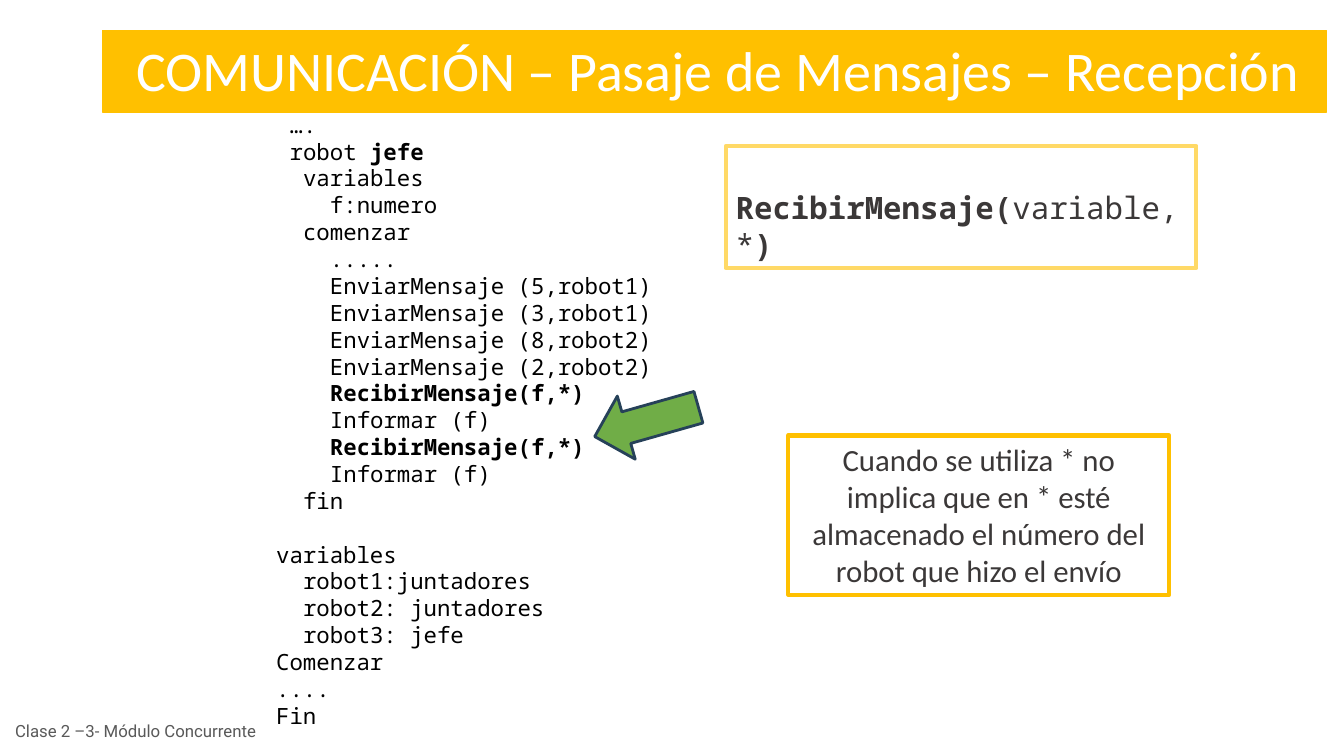
"""Builds the slide on receiving messages between concurrent robots."""
import pptx
import pptx.dml.color
import pptx.enum.shapes
import pptx.enum.text
import pptx.oxml
import pptx.util

COLORS = {"amber": "FFC000", "pale": "FFD966", "green": "70AD47", "navy": "264159",
          "white": "FFFFFF", "black": "000000", "dark": "3B3838", "gray": "595959"}
SHAPES = pptx.enum.shapes.MSO_SHAPE
ALIGN = pptx.enum.text.PP_ALIGN
ANCHOR = pptx.enum.text.MSO_ANCHOR
MONO = "Noto Sans Mono"
CODE_SIZE = 16
CHARACTER_WIDTH = 0.6 * CODE_SIZE
BLANK_LINE = 1.2 * CODE_SIZE


def color(name):
    return pptx.dml.color.RGBColor.from_string(COLORS[name])


class SlideBuilder:
    """Places styled elements on one slide, with boxes in percent of its size."""

    def __init__(self, presentation):
        self.width = presentation.slide_width
        self.height = presentation.slide_height
        self.slide = presentation.slides.add_slide(presentation.slide_layouts[1])

    def box(self, left, top, width, height):
        return (int(self.width * left / 100), int(self.height * top / 100),
                int(self.width * width / 100), int(self.height * height / 100))

    def prepare(self, shape, anchor=ANCHOR.TOP, top_inset=0.05):
        frame = shape.text_frame
        frame.word_wrap = True
        frame.auto_size = pptx.enum.text.MSO_AUTO_SIZE.NONE
        frame.vertical_anchor = anchor
        frame.margin_left = frame.margin_right = pptx.util.Inches(0.1)
        frame.margin_top = pptx.util.Inches(top_inset)
        frame.margin_bottom = pptx.util.Inches(0.05)
        return frame

    def add_runs(self, paragraph, runs, font, size, ink, align=ALIGN.LEFT):
        paragraph.alignment = align
        for text, bold in runs:
            run = paragraph.add_run()
            run.text = text
            run.font.name = font
            run.font.size = pptx.util.Pt(size)
            run.font.bold = bold
            run.font.color.rgb = color(ink)

    def shape(self, kind, box, fill, line, line_width):
        shape = self.slide.shapes.add_shape(kind, *self.box(*box))
        shape.shadow.inherit = False
        if fill:
            shape.fill.solid()
            shape.fill.fore_color.rgb = color(fill)
        else:
            shape.fill.background()
        shape.line.color.rgb = color(line)
        shape.line.width = pptx.util.Pt(line_width)
        return shape

    def placeholder(self, index, box):
        shape = self.slide.placeholders[index]
        shape.left, shape.top, shape.width, shape.height = self.box(*box)
        return self.prepare(shape)

    def title(self, box, banner_box, text):
        banner = self.shape(SHAPES.RECTANGLE, banner_box, "amber", "amber", 1)
        self.slide.shapes.title.element.addprevious(banner.element)
        frame = self.placeholder(0, box)
        self.add_runs(frame.paragraphs[0], [(text, False)], "Calibri", 40, "white")

    def code(self, box, blocks):
        frame = self.placeholder(1, box)
        paragraph = frame.paragraphs[0]
        for block_number, block in enumerate(blocks):
            for line_number, (indent, *runs) in enumerate(block):
                if block_number or line_number:
                    paragraph = frame.add_paragraph()
                starts_block = block_number > 0 and line_number == 0
                paragraph.space_before = pptx.util.Pt(BLANK_LINE if starts_block else 0)
                properties = paragraph._p.get_or_add_pPr()
                properties.set("marL", str(int(pptx.util.Pt(indent * CHARACTER_WIDTH))))
                properties.set("indent", "0")
                properties.append(pptx.oxml.parse_xml(
                    '<a:buNone xmlns:a="http://schemas.openxmlformats.org/drawingml/2006/main"/>'))
                self.add_runs(paragraph, runs, MONO, CODE_SIZE, "black", ALIGN.JUSTIFY)

    def card(self, box, fill, line, runs, font, align, top_inset=0.05):
        card = self.shape(SHAPES.RECTANGLE, box, fill, line, 3)
        frame = self.prepare(card, top_inset=top_inset)
        self.add_runs(frame.paragraphs[0], runs, font, 22, "dark", align)

    def label(self, box, text):
        frame = self.prepare(self.slide.shapes.add_textbox(*self.box(*box)), ANCHOR.MIDDLE)
        self.add_runs(frame.paragraphs[0], [(text, False)], "Roboto", 12, "gray")

    def arrow(self, box, rotation):
        arrow = self.shape(SHAPES.RIGHT_ARROW, box, "green", "navy", 2)
        arrow.rotation = rotation


def main():
    presentation = pptx.Presentation()
    presentation.slide_width = pptx.util.Inches(13.33)
    presentation.slide_height = pptx.util.Inches(7.5)
    builder = SlideBuilder(presentation)

    sends = [(4, (f"EnviarMensaje ({value},{robot})", False))
             for value, robot in ((5, "robot1"), (3, "robot1"), (8, "robot2"), (2, "robot2"))]
    receive_and_report = [(4, ("RecibirMensaje(f,*)", True)), (4, ("Informar (f)", False))]
    boss = [(1, ("….", False)),
            (1, ("robot ", False), ("jefe", True)),
            (2, ("variables", False)),
            (4, ("f:numero", False)),
            (2, ("comenzar", False)),
            (4, (".....", False)),
            *sends, *receive_and_report * 2,
            (2, ("fin", False))]
    program = [(0, ("variables", False)),
               (2, ("robot1:juntadores", False)),
               (2, ("robot2: juntadores", False)),
               (2, ("robot3: jefe", False)),
               (0, ("Comenzar", False)),
               (0, ("....", False)),
               (0, ("Fin", False))]

    builder.title((9.38, 4, 89.85, 10.27), (7.65, 4, 91.05, 10.8),
                  "COMUNICACIÓN – Pasaje de Mensajes – Recepción")
    builder.card((58.65, 57.6, 28.35, 21.07), None, "amber",
                 [("Cuando se utiliza * no implica que en * esté almacenado "
                   "el número del robot que hizo el envío", False)],
                 "Calibri", ALIGN.CENTER)
    builder.code((19.8, 14, 41.85, 84), [boss, program])
    builder.card((54, 19.33, 35.02, 16.13), "white", "pale",
                 [("RecibirMensaje(", True), ("variable,*", False), (")", True)],
                 MONO, ALIGN.LEFT, top_inset=0.42)
    builder.label((0.38, 94, 20.1, 5.33), "Clase 2 –3- Módulo Concurrente")
    builder.arrow((44.1, 51.47, 8.02, 8.67), 164.2)
    presentation.save("out.pptx")


if __name__ == "__main__":
    main()
